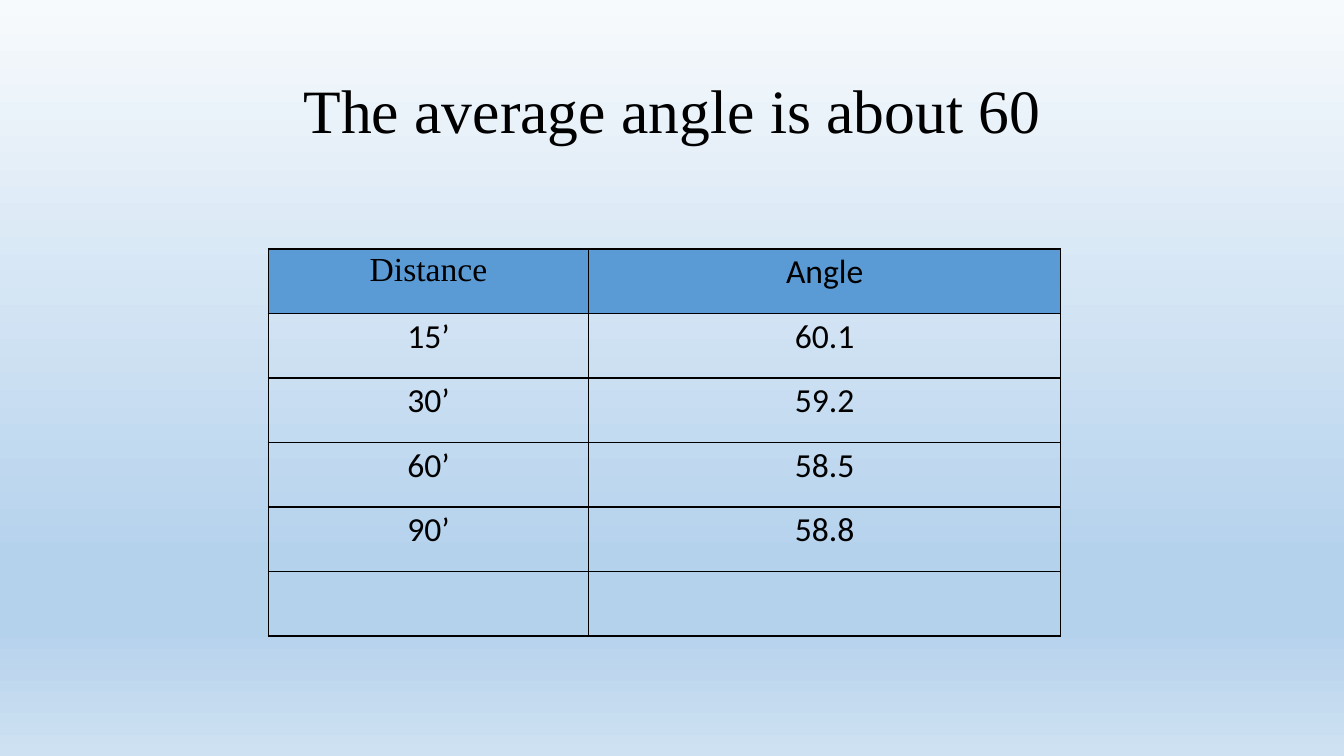
"""Build a slide with a table of angles measured at four distances."""
from lxml import etree
from pptx import Presentation
from pptx import util as u
from pptx.dml.color import RGBColor
from pptx.enum import text
from pptx.oxml import ns


def color(hex_string):
    """Turn a hex string into a colour."""
    return RGBColor.from_string(hex_string)


def add_element(parent, tag, **attributes):
    """Append a DrawingML element to its parent."""
    return etree.SubElement(parent, ns.qn("a:" + tag), attributes)


class SlideBuilder:
    """Hold the style and the current slide."""

    serif, sans = "Times New Roman", "Calibri"
    ink, header_fill = "000000", "5B9BD5"

    def __init__(self, presentation):
        """Add a blank slide."""
        self.slide = presentation.slides.add_slide(presentation.slide_layouts[6])

    def background(self, stops):
        """Fill the slide from top to bottom with gradient stops."""
        fill = self.slide.background.fill
        fill.gradient()
        fill.gradient_angle = 270
        stop_list = self.slide.element.find(".//" + ns.qn("a:gsLst"))
        for stop in list(stop_list):
            stop_list.remove(stop)
        for percent, hex_string in stops:
            stop = add_element(stop_list, "gs", pos=str(percent * 1000))
            add_element(stop, "srgbClr", val=hex_string)

    def set_text(self, frame, words, size, font, spacing):
        """Set one centred paragraph."""
        paragraph = frame.paragraphs[0]
        paragraph.text = words
        paragraph.alignment = text.PP_ALIGN.CENTER
        paragraph.line_spacing = spacing
        paragraph.font.size = u.Pt(size)
        paragraph.font.name = font
        paragraph.font.color.rgb = color(self.ink)

    def title(self, words, left, top, width, height):
        """Add the title."""
        box = self.slide.shapes.add_textbox(
            u.Inches(left), u.Inches(top), u.Inches(width), u.Inches(height))
        box.text_frame.word_wrap = True
        box.text_frame.vertical_anchor = text.MSO_ANCHOR.MIDDLE
        self.set_text(box.text_frame, words, 44, self.serif, 0.9)

    def borders(self, cell):
        """Draw a thin line on every side of a cell."""
        properties = cell._tc.get_or_add_tcPr()
        for side in ("lnL", "lnR", "lnT", "lnB"):
            line = add_element(properties, side, w=str(u.Pt(1)))
            add_element(add_element(line, "solidFill"), "srgbClr", val=self.ink)

    def table(self, rows, left, top, widths, row_height):
        """Add a table whose first row is the header."""
        table = self.slide.shapes.add_table(
            len(rows), len(widths), u.Inches(left), u.Inches(top),
            u.Inches(sum(widths)), u.Inches(row_height * len(rows))).table
        table.first_row = table.horz_banding = False
        for column, width in zip(table.columns, widths):
            column.width = u.Inches(width)
        for row_index, row in enumerate(rows):
            for column_index, words in enumerate(row):
                cell = table.cell(row_index, column_index)
                cell.margin_left = cell.margin_right = u.Inches(0.07)
                cell.margin_top = cell.margin_bottom = 0
                self.borders(cell)
                if row_index == 0:
                    cell.fill.solid()
                    cell.fill.fore_color.rgb = color(self.header_fill)
                else:
                    cell.fill.background()
                font = self.serif if words == "Distance" else self.sans
                if words:
                    self.set_text(cell.text_frame, words, 24, font, 1.07)


presentation = Presentation()
presentation.slide_width = u.Inches(13.33)
presentation.slide_height = u.Inches(7.5)

builder = SlideBuilder(presentation)
builder.background([(0, "F7FAFD"), (74, "B5D2EC"), (83, "B5D2EC"), (100, "CEE1F2")])
builder.title("The average angle is about 60", 0.92, 0.4, 11.5, 1.45)
angles = [("Distance", "Angle"), ("15’", "60.1"), ("30’", "59.2"),
          ("60’", "58.5"), ("90’", "58.8"), ("", "")]
builder.table(angles, 2.66, 2.47, [3.18, 4.68], 0.64)

presentation.save("out.pptx")
